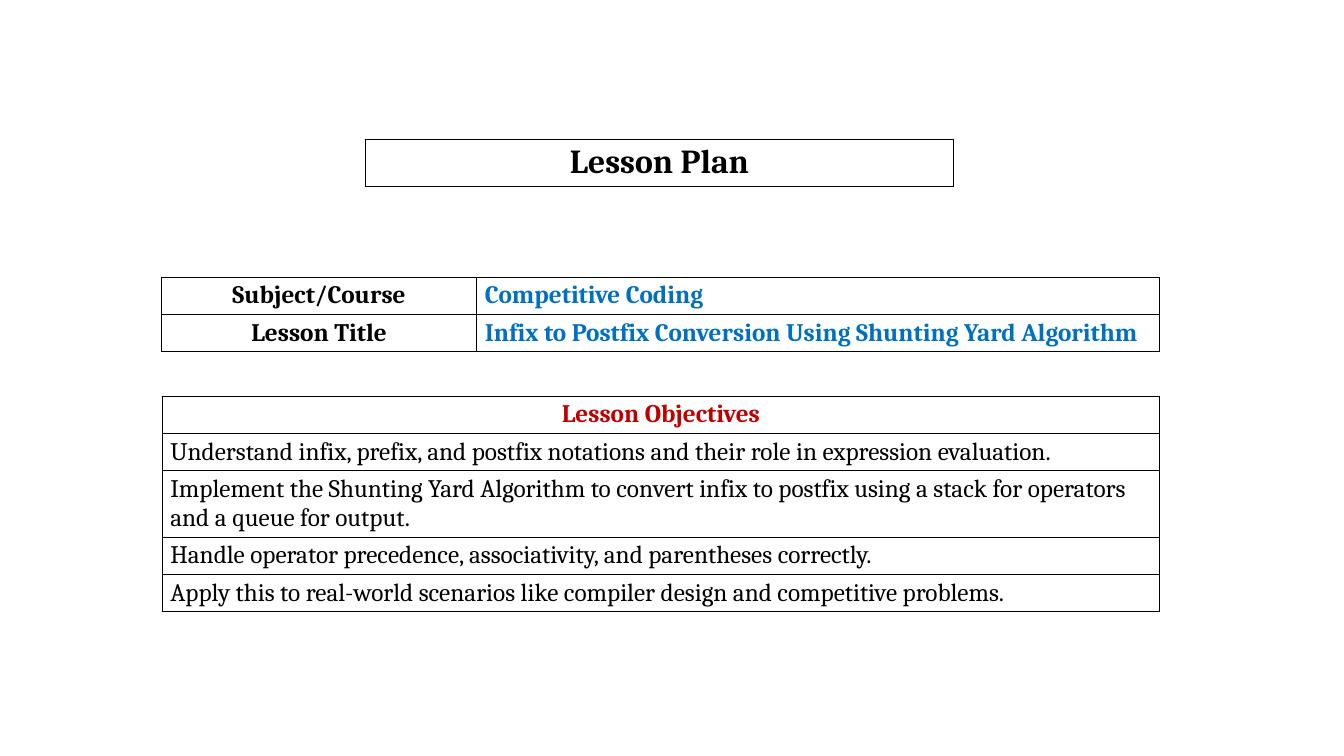
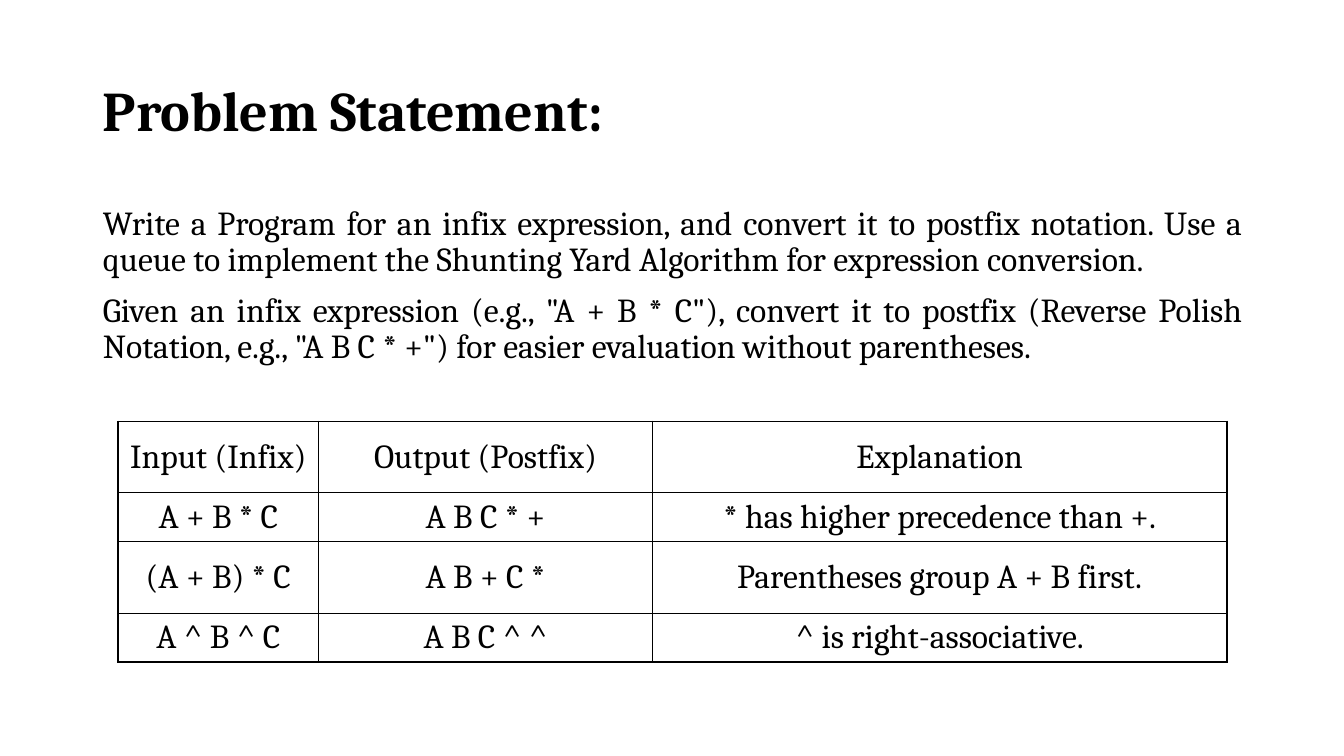
"""Build a two-slide lesson plan on infix to postfix conversion."""
from dataclasses import dataclass
from typing import Optional

from lxml.etree import SubElement
from pptx import Presentation
from pptx.dml.color import RGBColor
from pptx.enum.text import MSO_ANCHOR, MSO_AUTO_SIZE, PP_ALIGN
from pptx.oxml.ns import qn
from pptx.util import Pt

PX = 9144
FONT = "Cambria"
BLACK, WHITE, BLUE, RED = "000000", "FFFFFF", "0070C0", "C00000"


@dataclass(frozen=True)
class Style:
    """Text look of a paragraph."""
    size: int
    color: str = BLACK
    bold: bool = False
    align: PP_ALIGN = PP_ALIGN.LEFT


@dataclass(frozen=True)
class Cell:
    """Text of a table cell and its look."""
    text: str
    style: Style


@dataclass(frozen=True)
class Grid:
    """Bordered table with its sizes in px and border in points."""
    left: int
    top: int
    cols: list[int]
    rows: list[int]
    cells: list[list[Cell]]
    border: float = 0.77
    margins: tuple[int, int] = (8, 4)
    fill: Optional[str] = WHITE


HEADING = Style(24, bold=True, align=PP_ALIGN.CENTER)
LABEL = Style(18, bold=True, align=PP_ALIGN.CENTER)
VALUE = Style(18, BLUE, bold=True)
SECTION = Style(18, RED, bold=True, align=PP_ALIGN.CENTER)
OBJECTIVE = Style(18)
TITLE = Style(40, bold=True)
BODY = Style(24, align=PP_ALIGN.JUSTIFY)
EXAMPLE = Style(24, align=PP_ALIGN.CENTER)

COURSE = [
    ("Subject/Course", "Competitive Coding"),
    ("Lesson Title", "Infix to Postfix Conversion Using Shunting Yard Algorithm"),
]
OBJECTIVES = [
    "Understand infix, prefix, and postfix notations and their role in expression evaluation.",
    "Implement the Shunting Yard Algorithm to convert infix to postfix using a stack for "
    "operators and a queue for output.",
    "Handle operator precedence, associativity, and parentheses correctly.",
    "Apply this to real-world scenarios like compiler design and competitive problems.",
]
STATEMENT = [
    "Write a Program for an infix expression, and convert it to postfix notation. Use a queue "
    "to implement the Shunting Yard Algorithm for expression conversion.",
    'Given an infix expression (e.g., "A + B * C"), convert it to postfix (Reverse Polish '
    'Notation, e.g., "A B C * +") for easier evaluation without parentheses.',
]
EXAMPLES = [
    ("Input (Infix)", "Output (Postfix)", "Explanation"),
    ("A + B * C", "A B C * +", "* has higher precedence than +."),
    ("(A + B) * C", "A B + C *", "Parentheses group A + B first."),
    ("A ^ B ^ C", "A B C ^ ^", "^ is right-associative."),
]


def px(n: int) -> int:
    """Turn px into EMU."""
    return n * PX


def rgb(color: str) -> RGBColor:
    """Turn a hex string into a colour."""
    return RGBColor.from_string(color)


def format_paragraph(p, style: Style) -> None:
    """Apply a style to a paragraph."""
    p.alignment = style.align
    p.font.name = FONT
    p.font.size = Pt(style.size)
    p.font.bold = style.bold
    p.font.color.rgb = rgb(style.color)


def add_borders(cell, width: float) -> None:
    """Draw a black line on each side of a table cell."""
    tc_pr = cell._tc.get_or_add_tcPr()
    for side in ("a:lnL", "a:lnR", "a:lnT", "a:lnB"):
        ln = SubElement(tc_pr, qn(side), w=str(int(Pt(width))))
        fill = SubElement(ln, qn("a:solidFill"))
        SubElement(fill, qn("a:srgbClr"), val=BLACK)


def draw_cell(cell, content: Cell, grid: Grid) -> None:
    """Fill in and format one table cell."""
    add_borders(cell, grid.border)
    if grid.fill:
        cell.fill.solid()
        cell.fill.fore_color.rgb = rgb(grid.fill)
    else:
        cell.fill.background()
    across, down = grid.margins
    cell.margin_left = cell.margin_right = px(across)
    cell.margin_top = cell.margin_bottom = px(down)
    cell.vertical_anchor = MSO_ANCHOR.MIDDLE
    cell.text = content.text
    format_paragraph(cell.text_frame.paragraphs[0], content.style)


def draw_grid(s, grid: Grid) -> None:
    """Add a table to a slide."""
    table = s.shapes.add_table(
        len(grid.rows), len(grid.cols), px(grid.left), px(grid.top),
        px(sum(grid.cols)), px(sum(grid.rows))).table
    table.first_row = table.horz_banding = False
    for col, width in zip(table.columns, grid.cols):
        col.width = px(width)
    for row, height, contents in zip(table.rows, grid.rows, grid.cells):
        row.height = px(height)
        for cell, content in zip(row.cells, contents):
            draw_cell(cell, content, grid)


def fill_placeholder(sp, box: tuple[int, int, int, int], texts: list[str],
                     style: Style, before: int = 0) -> None:
    """Move a placeholder and fill it with unbulleted paragraphs."""
    sp.left, sp.top, sp.width, sp.height = map(px, box)
    tf = sp.text_frame
    tf.word_wrap = True
    tf.auto_size = MSO_AUTO_SIZE.NONE
    tf.text = "\n".join(texts)
    for p in tf.paragraphs:
        format_paragraph(p, style)
        p.line_spacing = 0.9
        p.space_before = Pt(before)
        p_pr = p._p.get_or_add_pPr()
        p_pr.set("marL", "0")
        p_pr.set("indent", "0")
        p_pr.insert_element_before(
            p_pr.makeelement(qn("a:buNone")), "a:tabLst", "a:defRPr", "a:extLst")


def add_plan(prs) -> None:
    """Add the lesson plan slide."""
    s = prs.slides.add_slide(prs.slide_layouts[6])
    draw_grid(s, Grid(362, 138, [584], [47], [[Cell("Lesson Plan", HEADING)]]))
    draw_grid(s, Grid(160, 275, [313, 677], [37, 37], [
        [Cell(label, LABEL), Cell(value, VALUE)] for label, value in COURSE]))
    draw_grid(s, Grid(161, 393, [989], [37, 37, 66, 37, 37], [
        [Cell("Lesson Objectives", SECTION)],
        *([Cell(text, OBJECTIVE)] for text in OBJECTIVES)]))


def add_problem(prs) -> None:
    """Add the problem statement slide."""
    s = prs.slides.add_slide(prs.slide_layouts[1])
    fill_placeholder(s.shapes.title, (92, 40, 1150, 145), ["Problem Statement:"], TITLE)
    s.shapes.title.text_frame.vertical_anchor = MSO_ANCHOR.MIDDLE
    fill_placeholder(s.placeholders[1], (92, 200, 1150, 219), STATEMENT, BODY, before=10)
    draw_grid(s, Grid(117, 418, [199, 331, 570], [71, 48] * 2, [
        [Cell(text, EXAMPLE) for text in row] for row in EXAMPLES],
        border=1, margins=(10, 5), fill=None))


def main() -> None:
    """Build and save the presentation."""
    prs = Presentation()
    prs.slide_width, prs.slide_height = px(1333), px(750)
    add_plan(prs)
    add_problem(prs)
    prs.save("out.pptx")


if __name__ == "__main__":
    main()
